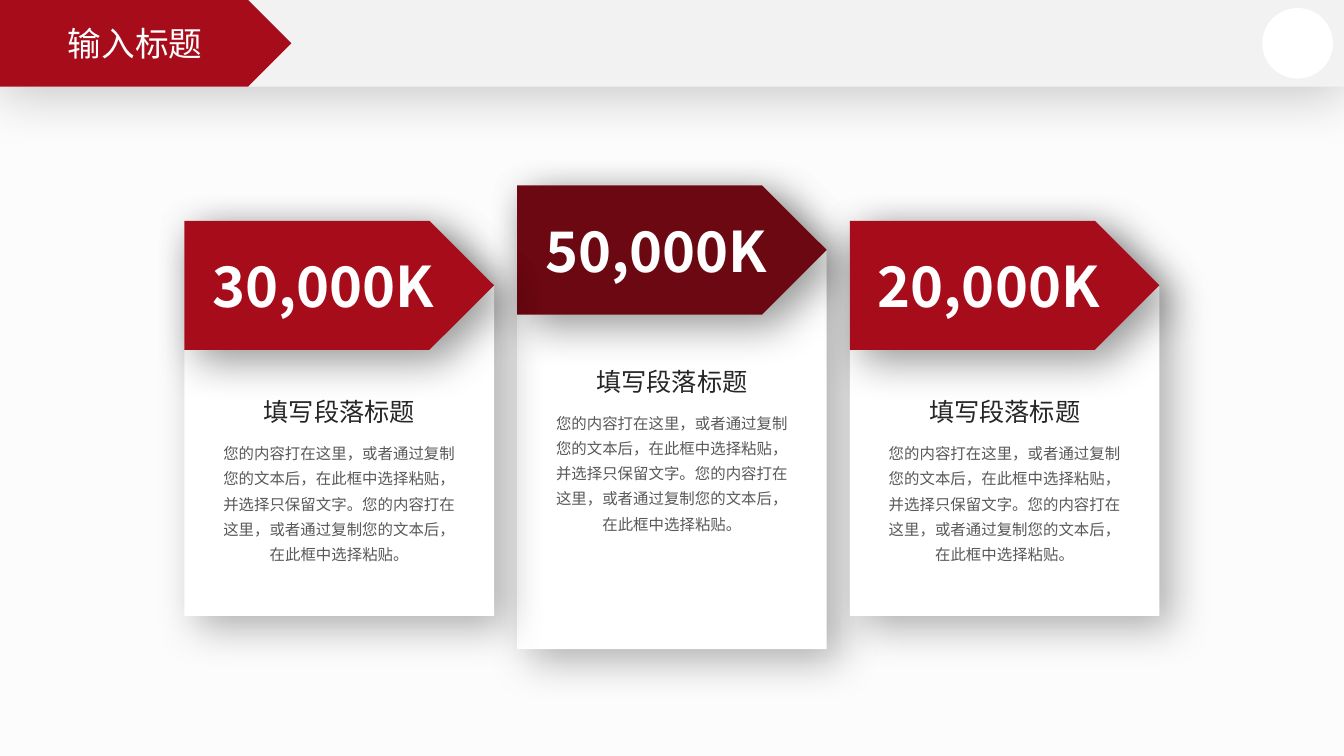
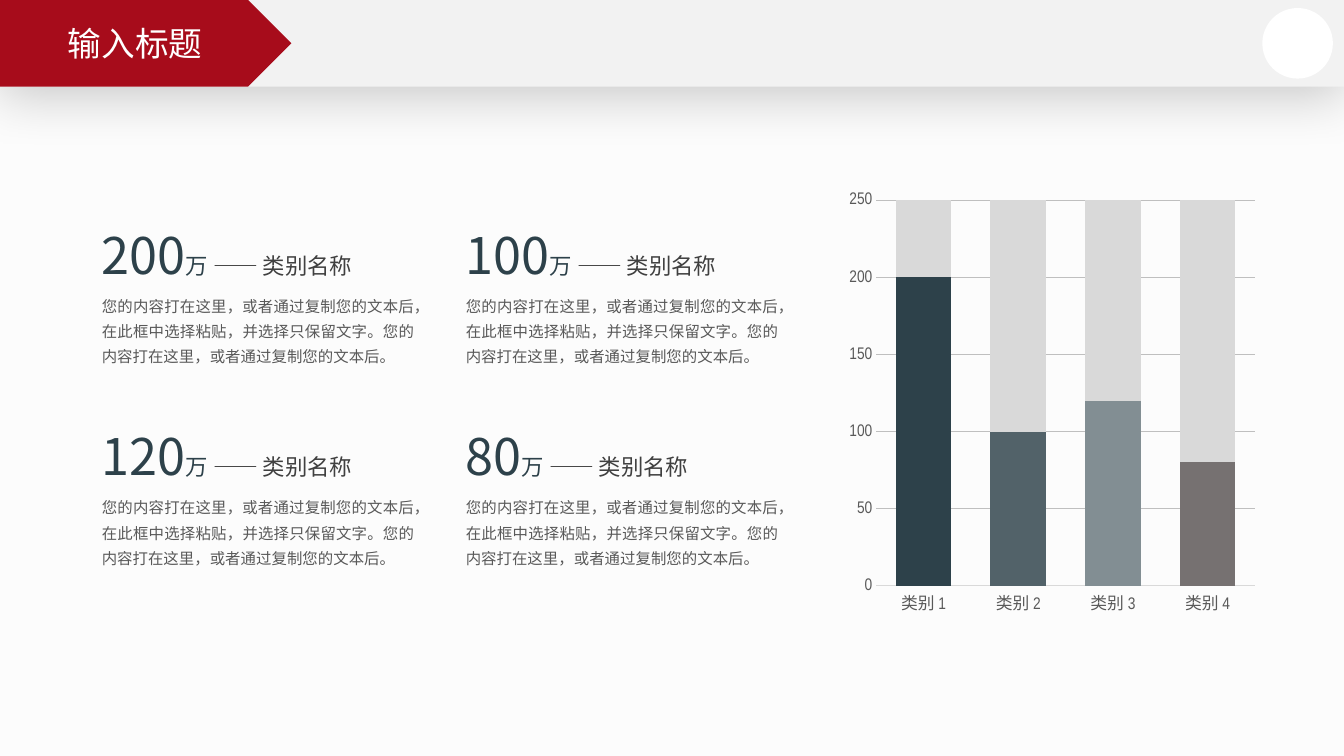
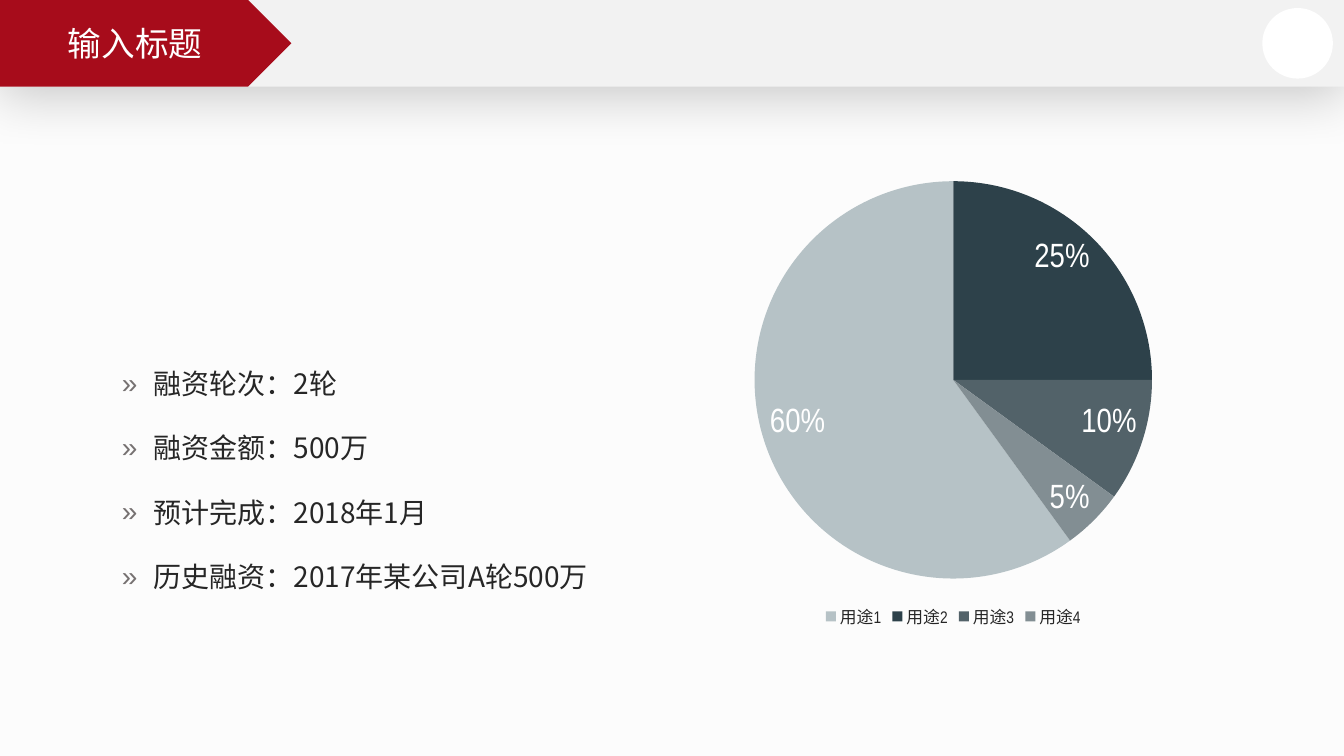
from pptx import Presentation
from pptx.chart.data import CategoryChartData
from pptx.dml.color import RGBColor
from pptx.enum.chart import XL_CHART_TYPE, XL_LABEL_POSITION, XL_LEGEND_POSITION, XL_TICK_MARK
from pptx.enum.shapes import MSO_SHAPE
from pptx.enum.text import MSO_ANCHOR, MSO_AUTO_SIZE, PP_ALIGN
from pptx.oxml import parse_xml
from pptx.oxml.ns import nsdecls, qn
from pptx.util import Inches, Pt

RED = RGBColor(0xA7, 0x0C, 0x1B)
DARK_RED = RGBColor(0x6B, 0x08, 0x11)
WHITE = RGBColor(0xFF, 0xFF, 0xFF)
PAPER = RGBColor(0xFC, 0xFC, 0xFC)
BAND = RGBColor(0xF2, 0xF2, 0xF2)
INK = RGBColor(0x26, 0x26, 0x26)
DARK_GRAY = RGBColor(0x40, 0x40, 0x40)
GRAY = RGBColor(0x59, 0x59, 0x59)
GRID_GRAY = RGBColor(0xBF, 0xBF, 0xBF)
LIGHT_GRAY = RGBColor(0xD9, 0xD9, 0xD9)
WARM_GRAY = RGBColor(0x76, 0x71, 0x71)
NAVY = RGBColor(0x2D, 0x41, 0x4A)
SLATE = RGBColor(0x52, 0x62, 0x69)
STEEL = RGBColor(0x82, 0x8E, 0x93)
MIST = RGBColor(0xB6, 0xC2, 0xC6)

FONT = "Noto Sans CJK SC"
CHART_FONT = "Arial Narrow"

RECT, ELLIPSE = MSO_SHAPE.RECTANGLE, MSO_SHAPE.OVAL
ARROW, SNIP = MSO_SHAPE.PENTAGON, MSO_SHAPE.SNIP_1_RECTANGLE
LEFT, CENTER, JUSTIFY = PP_ALIGN.LEFT, PP_ALIGN.CENTER, PP_ALIGN.JUSTIFY
TOP, MIDDLE = MSO_ANCHOR.TOP, MSO_ANCHOR.MIDDLE
GROW, NO_FIT = MSO_AUTO_SIZE.SHAPE_TO_FIT_TEXT, MSO_AUTO_SIZE.NONE
NO_TICK = XL_TICK_MARK.NONE

TITLE_LAYOUT, LIST_LAYOUT = 5, 1
BAND_H = 0.86
TITLE = "输入标题"
CARD_TITLE = "填写段落标题"
SENTENCE = "您的内容打在这里，或者通过复制您的文本后，在此框中选择粘贴，并选择只保留文字。您的内容打在这里，或者通过复制您的文本后"
CARD_TEXT = SENTENCE + "，在此框中选择粘贴。"
FIGURE_TEXT = SENTENCE + "。"


def place(sp, x, y, w, h):
    sp.left, sp.top, sp.width, sp.height = (Inches(v) for v in (x, y, w, h))


def add_run(p, text, size, color, bold=False):
    r = p.add_run()
    r.text = text
    r.font.size, r.font.name, r.font.bold = Pt(size), FONT, bold
    r.font.color.rgb = color
    ea = parse_xml(f'<a:ea {nsdecls("a")} typeface="{FONT}"/>')
    r.font._element.find(qn("a:latin")).addnext(ea)


def write(tf, paragraphs, align=LEFT, anchor=TOP, inset=None, wrap=True,
          fit=NO_FIT, spacing=None, before=0, after=0):
    """Fill a text frame; each paragraph is a list of (text, size, color[, bold])."""
    tf.word_wrap, tf.auto_size, tf.vertical_anchor = wrap, fit, anchor
    if inset is not None:
        tf.margin_left = tf.margin_right = tf.margin_top = tf.margin_bottom = Inches(inset)
    for i, runs in enumerate(paragraphs):
        p = tf.add_paragraph() if i else tf.paragraphs[0]
        p.alignment = align
        p.space_before, p.space_after = Pt(before if i else 0), Pt(after)
        if spacing is not None:
            p.line_spacing = spacing
        for run in runs:
            add_run(p, *run)


def add_text(slide, box, paragraphs, **fmt):
    sp = slide.shapes.add_textbox(*(Inches(v) for v in box))
    write(sp.text_frame, paragraphs, inset=0, fit=GROW, **fmt)


def add_shape(slide, kind, box, color, shadow=None, adj=None):
    """Add a borderless shape; shadow is (alpha %, blur pt, distance pt, degrees)."""
    sp = slide.shapes.add_shape(kind, *(Inches(v) for v in box))
    sp.fill.solid()
    sp.fill.fore_color.rgb = color
    sp.line.fill.background()
    sp.shadow.inherit = False
    if adj is not None:
        sp.adjustments[0] = adj
    if shadow:
        alpha, blur, dist, angle = shadow
        sp._element.spPr.find(qn("a:effectLst")).append(parse_xml(
            f'<a:outerShdw {nsdecls("a")} blurRad="{Pt(blur)}" dist="{Pt(dist)}" '
            f'dir="{angle * 60000}" algn="ctr" rotWithShape="0"><a:srgbClr val="000000">'
            f'<a:alpha val="{alpha * 1000}"/></a:srgbClr></a:outerShdw>'))
    return sp


def build_master(prs, slide):
    """Draw the shared header on a slide, then move it to the slide master."""
    master = prs.slide_master
    master.background.fill.solid()
    master.background.fill.fore_color.rgb = PAPER
    header = [
        add_shape(slide, RECT, (0, 0, 13.33, BAND_H), BAND, (20, 38, 7, 90)),
        add_shape(slide, ARROW, (0, 0, 2.89, BAND_H), RED),
        add_shape(slide, ELLIPSE, (12.52, 0.08, 0.7, 0.7), WHITE),
    ]
    for i, sp in enumerate(header):
        sp._element.nvSpPr.cNvPr.set("id", str(100 + i))
        master.shapes.element.insert(2 + i, sp._element)


def add_slide(prs, layout):
    slide = prs.slides.add_slide(prs.slide_layouts[layout])
    title = slide.shapes.title
    place(title, 0, 0, 2.68, BAND_H)
    write(title.text_frame, [[(TITLE, 24, WHITE)]], align=CENTER, anchor=MIDDLE)
    return slide


def add_card(slide, x, y, h, text_y, amount, color):
    w = 3.07
    add_shape(slide, SNIP, (x, y, w, h), WHITE, (30, 30, 12, 45), adj=0.21)
    arrow = add_shape(slide, ARROW, (x, y, w, 1.28), color, (40, 30, 12, 45))
    write(arrow.text_frame, [[(amount, 40, WHITE, True)]], align=CENTER, anchor=MIDDLE)
    add_text(slide, (x + 0.37, text_y, 2.33, 1.63),
             [[(CARD_TITLE, 18, INK)], [(CARD_TEXT, 11, GRAY)]],
             align=CENTER, spacing=Pt(18), before=8)


def add_figure(slide, x, y, amount):
    add_text(slide, (x, y, 2.63, 0.61),
             [[(amount, 36, NAVY), ("万 ", 16, NAVY), ("—— 类别名称", 16, DARK_GRAY)]],
             wrap=False)
    add_text(slide, (x, y + 0.66, 3.1, 0.76), [[(FIGURE_TEXT, 11, GRAY)]],
             align=JUSTIFY, spacing=Pt(18), after=10)


def style_font(font, size, color):
    font.name, font.size, font.color.rgb = CHART_FONT, Pt(size), color


def fill_solid(part, color):
    part.format.fill.solid()
    part.format.fill.fore_color.rgb = color


def add_chart(slide, kind, box, categories, series):
    data = CategoryChartData()
    data.categories = categories
    for i, values in enumerate(series, 1):
        data.add_series(f"Series {i}", values)
    chart = slide.shapes.add_chart(kind, *(Inches(v) for v in box), data).chart
    chart.has_title = chart.has_legend = False
    style_font(chart.font, 10, RGBColor(0, 0, 0))
    return chart


def color_points(series, colors):
    for i, color in enumerate(colors):
        fill_solid(series.points[i], color)


def add_columns(slide):
    chart = add_chart(slide, XL_CHART_TYPE.COLUMN_STACKED, (8.34, 1.82, 4.19, 4.37),
                      [f"类别 {i}" for i in range(1, 5)],
                      [(200, 100, 120, 80), (300,) * 4])
    plot = chart.plots[0]
    plot.gap_width, plot.overlap, plot.vary_by_categories = 70, 100, False
    amounts, rest = plot.series
    fill_solid(amounts, NAVY)
    color_points(amounts, (NAVY, SLATE, STEEL, WARM_GRAY))
    fill_solid(rest, LIGHT_GRAY)
    for axis in (chart.category_axis, chart.value_axis):
        axis.major_tick_mark = axis.minor_tick_mark = NO_TICK
        style_font(axis.tick_labels.font, 12, GRAY)
    cat_line = chart.category_axis.format.line
    cat_line.color.rgb, cat_line.width = LIGHT_GRAY, Pt(0.75)
    values = chart.value_axis
    values.minimum_scale, values.maximum_scale, values.major_unit = 0, 250, 50
    values.format.line.fill.background()
    grid = values.major_gridlines.format.line
    grid.color.rgb, grid.width = GRID_GRAY, Pt(0.75)


def add_pie(slide):
    chart = add_chart(slide, XL_CHART_TYPE.PIE, (5.99, 1.66, 6.93, 4.62),
                      [f"用途{i}" for i in range(1, 5)], [(0.6, 0.25, 0.1, 0.05)])
    chart.has_legend = True
    chart.legend.position = XL_LEGEND_POSITION.BOTTOM
    chart.legend.include_in_layout = False
    style_font(chart.legend.font, 12, INK)
    plot = chart.plots[0]
    plot.vary_by_categories = True
    color_points(plot.series[0], (MIST, NAVY, SLATE, STEEL))
    labels = plot.series[0].data_labels
    labels.show_value = True
    labels.position = XL_LABEL_POSITION.INSIDE_END
    labels.number_format, labels.number_format_is_linked = "0%", False
    style_font(labels.font, 24, WHITE)
    pie = plot._element
    for old in pie.findall(qn("c:firstSliceAng")):
        pie.remove(old)
    pie.append(parse_xml(f'<c:firstSliceAng {nsdecls("c")} val="144"/>'))


def add_list(slide, items):
    body = slide.placeholders[1]
    place(body, 1.11, 3.42, 4.95, 2.48)
    write(body.text_frame, [[(item, 20, INK)] for item in items],
          fit=GROW, spacing=1.5, after=10)
    for p in body.text_frame.paragraphs:
        pPr = p._p.get_or_add_pPr()
        pPr.set("marL", str(Inches(0.31)))
        pPr.set("indent", str(-Inches(0.31)))
        pPr.append(parse_xml(
            f'<a:buClr {nsdecls("a")}><a:srgbClr val="{WARM_GRAY}"/></a:buClr>'))
        pPr.append(parse_xml(f'<a:buFont {nsdecls("a")} typeface="Arial"/>'))
        pPr.append(parse_xml(f'<a:buChar {nsdecls("a")} char="»"/>'))


def main():
    prs = Presentation()
    prs.slide_width, prs.slide_height = Inches(13.33), Inches(7.5)

    slide = add_slide(prs, TITLE_LAYOUT)
    build_master(prs, slide)
    add_card(slide, 5.13, 1.84, 4.6, 3.68, "50,000K", DARK_RED)
    for x, amount in ((1.83, "30,000K"), (8.43, "20,000K")):
        add_card(slide, x, 2.19, 3.92, 3.98, amount, RED)

    slide = add_slide(prs, TITLE_LAYOUT)
    add_columns(slide)
    for i, amount in enumerate(("200", "100", "120", "80")):
        row, col = divmod(i, 2)
        add_figure(slide, 1.01 + 3.61 * col, 2.22 + 2 * row, amount)

    slide = add_slide(prs, LIST_LAYOUT)
    add_list(slide, ("融资轮次：2轮", "融资金额：500万", "预计完成：2018年1月",
                     "历史融资：2017年某公司A轮500万"))
    add_pie(slide)

    prs.save("out.pptx")


if __name__ == "__main__":
    main()
